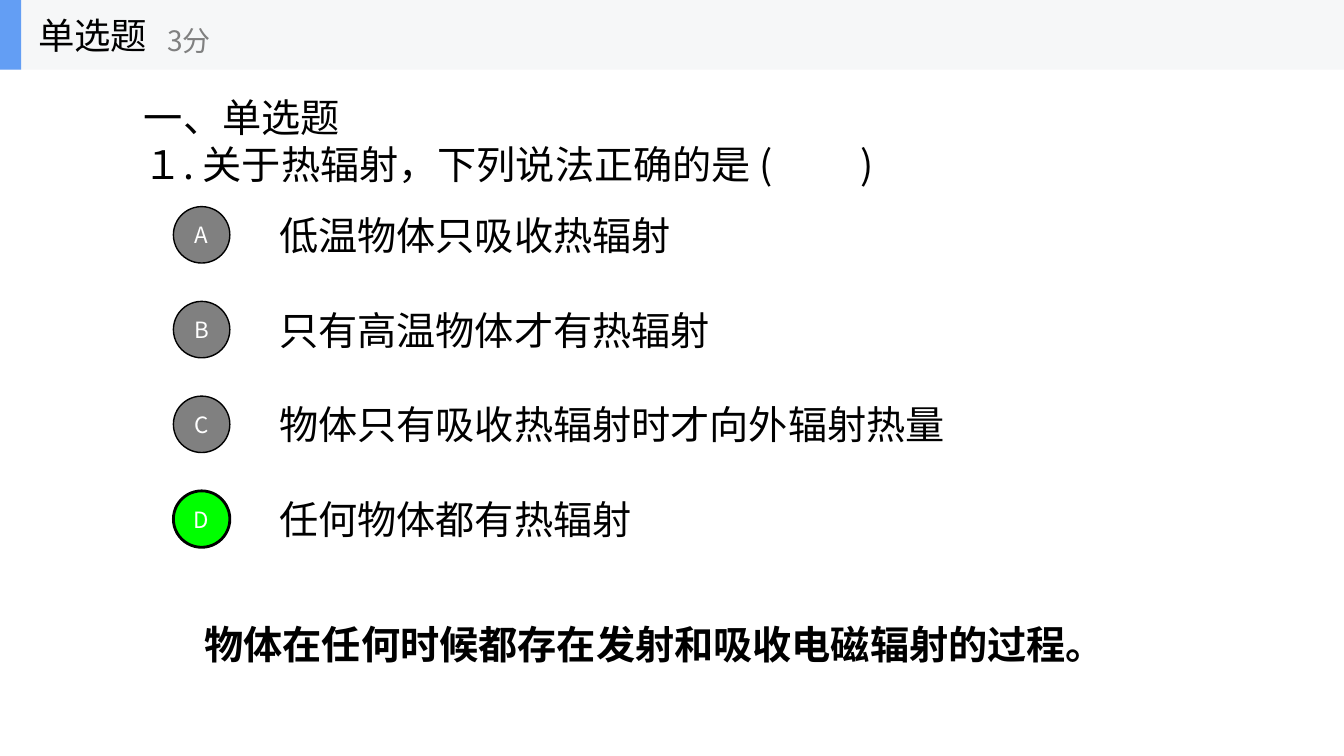
from pptx import Presentation
from pptx.dml.color import RGBColor
from pptx.enum.shapes import MSO_SHAPE
from pptx.enum.text import MSO_ANCHOR, MSO_AUTO_SIZE, PP_ALIGN
from pptx.oxml.ns import qn
from pptx.util import Inches, Pt
from lxml.etree import SubElement

BLACK = RGBColor(0x00, 0x00, 0x00)
WHITE = RGBColor(0xFF, 0xFF, 0xFF)
GREY = RGBColor(0x80, 0x80, 0x80)
GREEN = RGBColor(0x00, 0xFF, 0x00)
BLUE = RGBColor(0x63, 0x9E, 0xF4)
PALE = RGBColor(0xF6, 0xF7, 0xF8)
SANS = "Noto Sans CJK SC"
SERIF = "Times New Roman"

SLIDE_WIDTH, SLIDE_HEIGHT = 13.33, 7.5
OPTIONS = [
    ("A", "低温物体只吸收热辐射"),
    ("B", "只有高温物体才有热辐射"),
    ("C", "物体只有吸收热辐射时才向外辐射热量"),
    ("D", "任何物体都有热辐射"),
]
ANSWER = "D"


def write(shape, text, size, color=BLACK, font=SANS, bold=False):
    """Fill a shape with vertically centred text in one style."""
    frame = shape.text_frame
    frame.text = text
    frame.word_wrap = True
    frame.vertical_anchor = MSO_ANCHOR.MIDDLE
    for paragraph in frame.paragraphs:
        for run in paragraph.runs:
            run.font.size = Pt(size)
            run.font.name = font
            run.font.bold = bold
            run.font.color.rgb = color
            east_asian = SubElement(run.font._element, qn("a:ea"))
            east_asian.set("typeface", SANS)
    return frame


def add_label(shapes, box, text, size, **style):
    label = shapes.add_textbox(*map(Inches, box))
    return write(label, text, size, **style)


def add_solid(shapes, kind, box, fill):
    solid = shapes.add_shape(kind, *map(Inches, box))
    solid.shadow.inherit = False
    solid.fill.solid()
    solid.fill.fore_color.rgb = fill
    solid.line.fill.background()
    return solid


def add_header(slide, left, top, width, height):
    header = slide.shapes.add_group_shape().shapes
    add_solid(header, MSO_SHAPE.RECTANGLE, (left, top, width, height), PALE)
    add_solid(header, MSO_SHAPE.RECTANGLE, (left, top, 0.21, height), BLUE)
    add_label(header, (left + 0.28, top, 2.08, height), "单选题", 26)
    add_label(header, (left + 1.56, top + 0.12, 2.5, 0.56), "3分", 20, color=GREY)


def add_question(slide, left, top, width, height):
    add_label(slide.shapes, (left, top, width, height),
              "一、单选题\n１. 关于热辐射，下列说法正确的是 (          )", 28)


def add_options(slide, left, top, width, pitch):
    text_offset, row_height, diameter = 0.95, 0.7, 0.56
    for row, (letter, statement) in enumerate(OPTIONS):
        row_top = top + row * pitch
        correct = letter == ANSWER
        add_label(slide.shapes,
                  (left + text_offset, row_top, width - text_offset, row_height),
                  statement, 28)
        # Lettered button, centred on its row
        button = add_solid(
            slide.shapes, MSO_SHAPE.OVAL,
            (left, row_top + (row_height - diameter) / 2, diameter, diameter),
            GREEN if correct else GREY)
        button.line.color.rgb = BLACK
        button.line.width = Pt(2 if correct else 1)
        caption = write(button, letter, 16, color=WHITE)
        caption.margin_left = caption.margin_right = 0
        caption.paragraphs[0].alignment = PP_ALIGN.CENTER


def add_explanation(slide, left, top, width, height):
    explanation = add_label(slide.shapes, (left, top, width, height),
                            "物体在任何时候都存在发射和吸收电磁辐射的过程。",
                            28, font=SERIF, bold=True)
    explanation.vertical_anchor = MSO_ANCHOR.TOP
    explanation.word_wrap = False
    explanation.auto_size = MSO_AUTO_SIZE.SHAPE_TO_FIT_TEXT
    explanation.paragraphs[0].line_spacing = 1.4


def main():
    deck = Presentation()
    deck.slide_width = Inches(SLIDE_WIDTH)
    deck.slide_height = Inches(SLIDE_HEIGHT)
    slide = deck.slides.add_slide(deck.slide_layouts[6])
    add_question(slide, 1.33, 0.53, 10.67, 1.73)
    add_options(slide, 1.72, 1.98, 10.28, 0.94)
    add_explanation(slide, 1.93, 5.92, 9.19, 0.76)
    add_header(slide, 0, 0, SLIDE_WIDTH, 0.69)
    deck.save("out.pptx")


if __name__ == "__main__":
    main()
